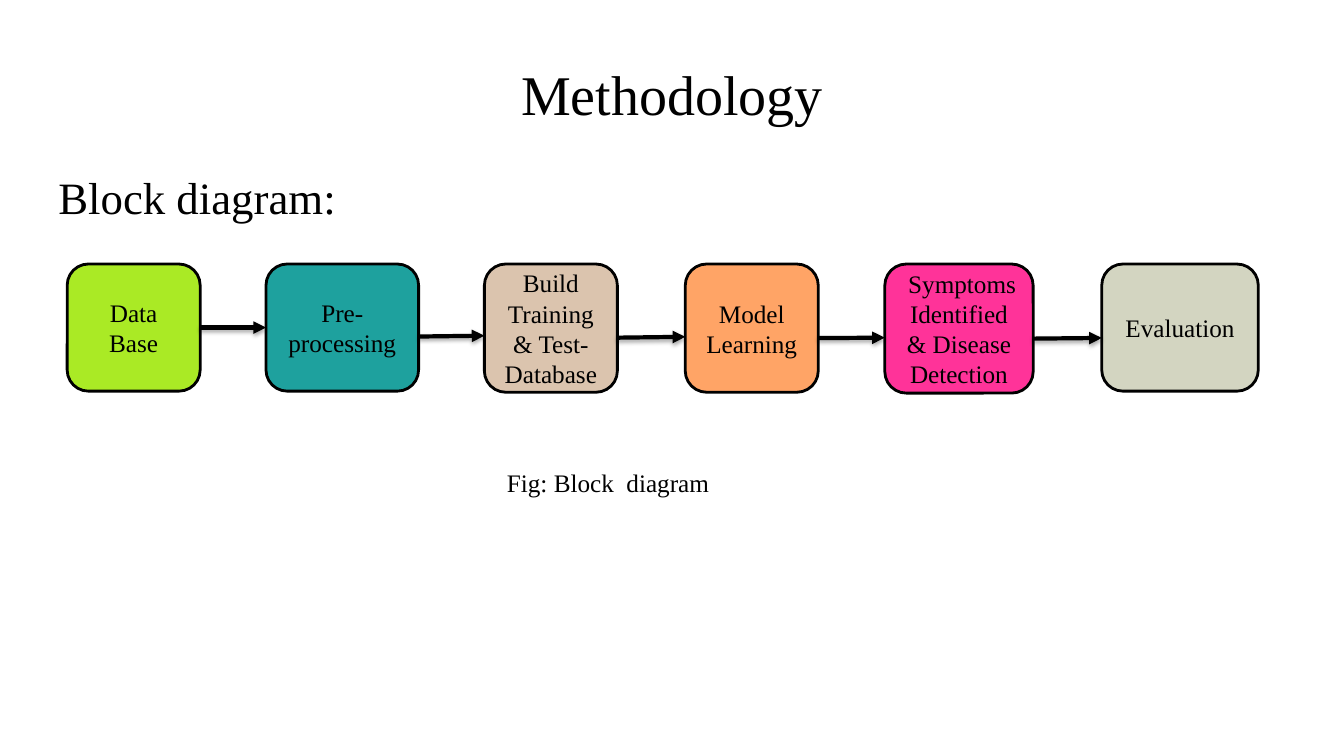
from itertools import pairwise

from lxml import etree
from pptx import Presentation
from pptx.dml.color import RGBColor
from pptx.enum.shapes import MSO_CONNECTOR as CONN, MSO_SHAPE as SHAPE
from pptx.enum.text import MSO_ANCHOR as ANCHOR, PP_ALIGN as ALIGN
from pptx.oxml import parse_xml
from pptx.oxml.ns import nsdecls, qn
from pptx.util import Pt

COLORS = {
    "black": "000000",
    "lime": "AAEA25",
    "teal": "1EA19E",
    "tan": "DBC4AE",
    "orange": "FFA466",
    "pink": "FF3399",
    "sage": "D3D5C1",
}
FONT = "Times New Roman"
BLACK = RGBColor.from_string(COLORS["black"])
BOX_TOP = 188.6

# text, left, width, height, color
STEPS = [
    ("Data Base", 48, 95, 90.8, "lime"),
    ("Pre-processing", 190, 109, 90.8, "teal"),
    ("Build Training & Test- Database", 346, 95, 91.6, "tan"),
    ("Model Learning", 489.5, 95, 91.6, "orange"),
    (" Symptoms Identified & Disease Detection", 632, 106, 92.2, "pink"),
    ("Evaluation", 787, 111.8, 90.8, "sage"),
]
# start and end height of each arrow
ARROW_YS = [(234, 234), (240.4, 239.8), (241.2, 240.6), (241.5, 241.2), (241.9, 241.4)]


def write(shape, text, size, align, anchor):
    tf = shape.text_frame
    tf.word_wrap = True
    tf.vertical_anchor = anchor
    p = tf.paragraphs[0]
    p.text = text
    p.alignment = align
    p.font.name = FONT
    p.font.size = Pt(size)
    p.font.color.rgb = BLACK


prs = Presentation()
prs.slide_width, prs.slide_height = Pt(960), Pt(540)
s = prs.slides.add_slide(prs.slide_layouts[6])

# Headings and caption
for text, left, top, width, height, size, align, anchor in [
    ("Methodology", 48, 21.6, 864, 90, 40, ALIGN.CENTER, ANCHOR.MIDDLE),
    ("Block diagram:", 34.6, 118, 890, 46, 32, ALIGN.LEFT, ANCHOR.TOP),
    ("Fig: Block  diagram", 355, 330.5, 222, 29, 18, ALIGN.LEFT, ANCHOR.TOP),
]:
    box = s.shapes.add_textbox(Pt(left), Pt(top), Pt(width), Pt(height))
    write(box, text, size, align, anchor)

# Steps
boxes = []
for text, left, width, height, color in STEPS:
    sp = s.shapes.add_shape(SHAPE.ROUNDED_RECTANGLE, Pt(left), Pt(BOX_TOP), Pt(width), Pt(height))
    sp.shadow.inherit = False
    sp.fill.solid()
    sp.fill.fore_color.rgb = RGBColor.from_string(COLORS[color])
    sp.line.color.rgb = BLACK
    sp.line.width = Pt(2)
    write(sp, text, 18, ALIGN.CENTER, ANCHOR.MIDDLE)
    boxes.append(sp)

# Arrows between neighbouring steps
for i, ((a, b), (y1, y2)) in enumerate(zip(pairwise(boxes), ARROW_YS)):
    arrow = s.shapes.add_connector(CONN.STRAIGHT, a.left + a.width, Pt(y1), b.left, Pt(y2))
    if i == 0:
        arrow.begin_connect(a, 3)
        arrow.end_connect(b, 1)
    arrow.line.color.rgb = BLACK
    arrow.line.width = Pt(3)
    etree.SubElement(arrow.line._get_or_add_ln(), qn("a:tailEnd"), type="triangle")
    arrow._element.spPr.append(parse_xml(
        f'<a:effectLst {nsdecls("a")}>'
        f'<a:outerShdw blurRad="{Pt(3.1)}" dist="{Pt(1.8)}" dir="5400000" rotWithShape="0">'
        f'<a:srgbClr val="{COLORS["black"]}"><a:alpha val="35000"/></a:srgbClr>'
        '</a:outerShdw></a:effectLst>'))

prs.save("out.pptx")
